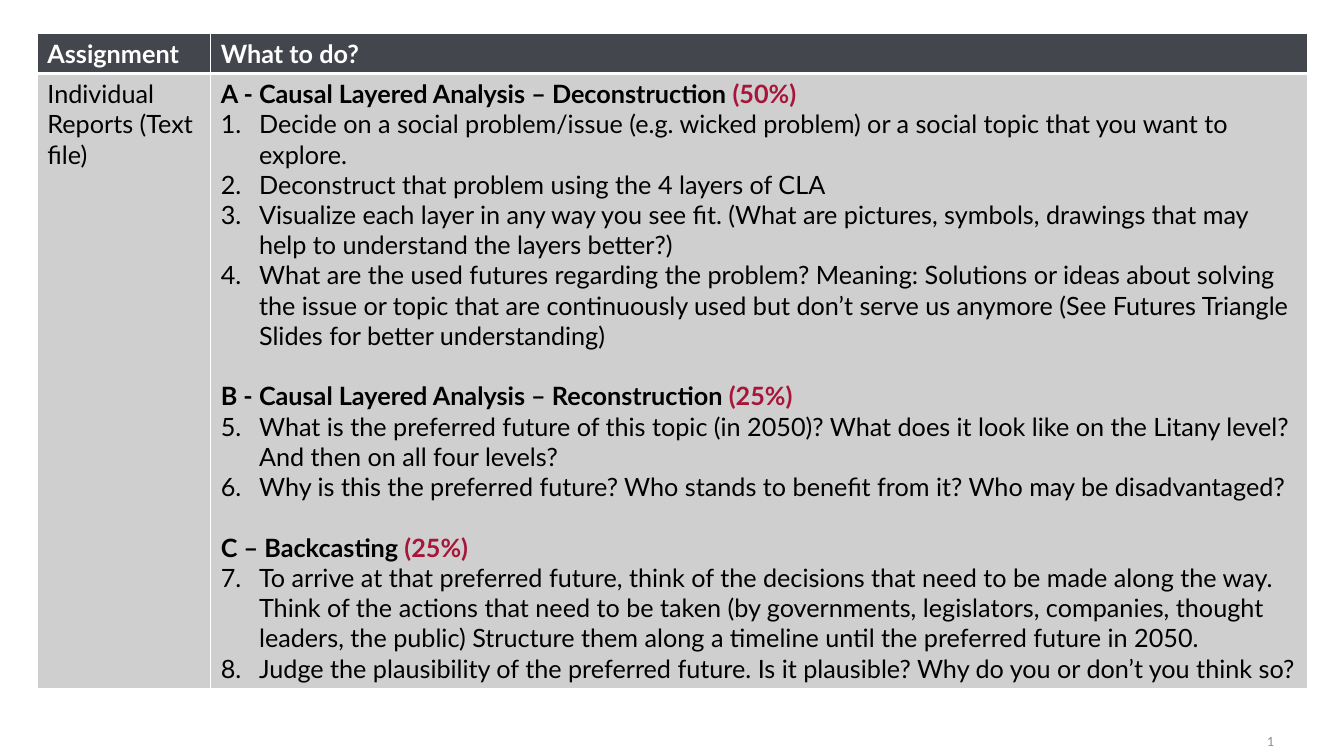
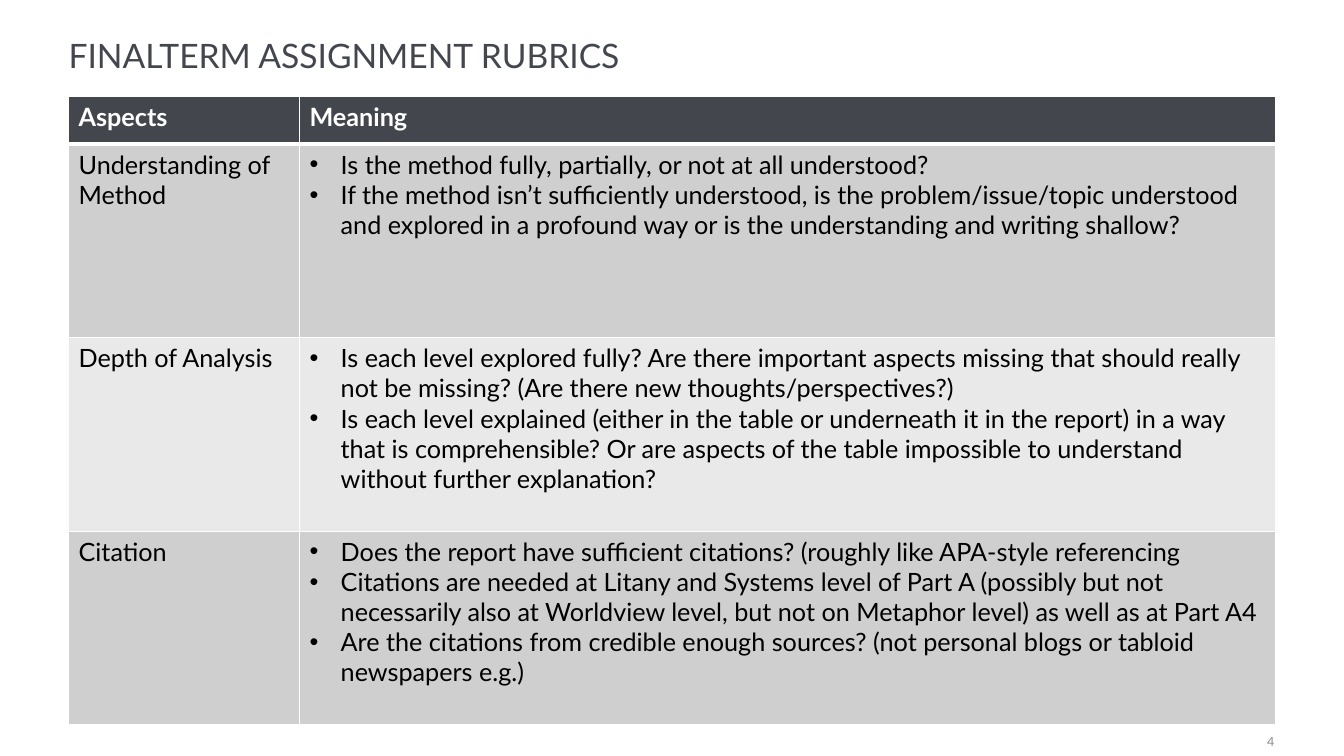
from dataclasses import dataclass

from lxml.etree import SubElement
from pptx import Presentation
from pptx.dml.color import RGBColor
from pptx.enum.text import MSO_ANCHOR, PP_ALIGN
from pptx.oxml.ns import qn
from pptx.util import Inches, Pt


@dataclass(frozen=True)
class Theme:
    font: str = "Lato"
    dark: str = "43464D"
    bands: tuple = ("CFCFD0", "E9E9E9")
    black: str = "000000"
    white: str = "FFFFFF"
    accent: str = "A71639"
    muted: str = "898C93"
    title_size: float = 24
    text_size: float = 18
    number_size: float = 9
    section_gap: float = 21.6
    thin: float = 1
    thick: float = 3


THEME = Theme()

# Content: assignment sections are (heading, weight, numbered tasks)
ASSIGNMENT_HEADER = ("Assignment", "What to do?")
ASSIGNMENT_NAME = "Individual Reports (Text file)"
SECTIONS = [
    ("A - Causal Layered Analysis – Deconstruction ", "(50%)", [
        "Decide on a social problem/issue (e.g. wicked problem) or a social topic that you want to explore.",
        "Deconstruct that problem using the 4 layers of CLA",
        "Visualize each layer in any way you see fit. (What are pictures, symbols, drawings that may help to "
        "understand the layers better?)",
        "What are the used futures regarding the problem? Meaning: Solutions or ideas about solving the issue "
        "or topic that are continuously used but don’t serve us anymore (See Futures Triangle Slides for "
        "better understanding)",
    ]),
    ("B - Causal Layered Analysis – Reconstruction ", "(25%)", [
        "What is the preferred future of this topic (in 2050)? What does it look like on the Litany level? "
        "And then on all four levels?",
        "Why is this the preferred future? Who stands to benefit from it? Who may be disadvantaged?",
    ]),
    ("C – Backcasting ", "(25%)", [
        "To arrive at that preferred future, think of the decisions that need to be made along the way. "
        "Think of the actions that need to be taken (by governments, legislators, companies, thought leaders, "
        "the public) Structure them along a timeline until the preferred future in 2050.",
        "Judge the plausibility of the preferred future. Is it plausible? Why do you or don’t you think so?",
    ]),
]

RUBRIC_TITLE = "FINALTERM ASSIGNMENT RUBRICS"
RUBRIC_HEADER = ("Aspects", "Meaning")
RUBRICS = [
    ("Understanding of Method", [
        "Is the method fully, partially, or not at all understood?",
        "If the method isn’t sufficiently understood, is the problem/issue/topic understood and explored in a "
        "profound way or is the understanding and writing shallow?",
    ]),
    ("Depth of Analysis", [
        "Is each level explored fully? Are there important aspects missing that should really not be missing? "
        "(Are there new thoughts/perspectives?)",
        "Is each level explained (either in the table or underneath it in the report) in a way that is "
        "comprehensible? Or are aspects of the table impossible to understand without further explanation?",
    ]),
    ("Citation", [
        "Does the report have sufficient citations? (roughly like APA-style referencing",
        "Citations are needed at Litany and Systems level of Part A (possibly but not necessarily also at "
        "Worldview level, but not on Metaphor level) as well as at Part A4",
        "Are the citations from credible enough sources? (not personal blogs or tabloid newspapers e.g.)",
    ]),
]


# Text helpers
def add_span(para, text, color=THEME.black, size=THEME.text_size, bold=False):
    span = para.add_run()
    span.text = text
    span.font.name = THEME.font
    span.font.size = Pt(size)
    span.font.bold = bold
    span.font.color.rgb = RGBColor.from_string(color)


def next_para(frame):
    """Return the empty first paragraph, or a new one."""
    first = frame.paragraphs[0]
    return frame.add_paragraph() if first.runs else first


def add_item(frame, text, indent, number=None):
    """Add a numbered item, or a bulleted one when there is no number."""
    para = next_para(frame)
    props = para._p.get_or_add_pPr()
    props.set("marL", str(Inches(indent)))
    props.set("indent", str(-Inches(indent)))
    if number:
        SubElement(props, qn("a:buFont"), typeface="+mj-lt")
        SubElement(props, qn("a:buAutoNum"), type="arabicPeriod", startAt=str(number))
    else:
        SubElement(props, qn("a:buFont"), typeface="Arial")
        SubElement(props, qn("a:buChar"), char="•")
    add_span(para, text)


# Table helpers
def style_cell(cell, fill, bottom):
    props = cell._tc.get_or_add_tcPr()
    for side, width in zip("LRTB", (THEME.thin, THEME.thin, THEME.thin, bottom)):
        line = SubElement(props, qn(f"a:ln{side}"), w=str(Pt(width)))
        SubElement(SubElement(line, qn("a:solidFill")), qn("a:srgbClr"), val=THEME.white)
    cell.fill.solid()
    cell.fill.fore_color.rgb = RGBColor.from_string(fill)


def add_grid(page, left, top, widths, heights, header, names):
    """Add a table with its header row and first column filled in."""
    table = page.shapes.add_table(len(heights), len(widths), Inches(left), Inches(top),
                                  Inches(sum(widths)), Inches(sum(heights))).table
    for column, width in zip(table.columns, widths):
        column.width = Inches(width)
    for index, (row, height) in enumerate(zip(table.rows, heights)):
        row.height = Inches(height)
        fill = THEME.bands[(index - 1) % 2] if index else THEME.dark
        for cell in row.cells:
            style_cell(cell, fill, THEME.thin if index else THEME.thick)
    for cell, text in zip(table.rows[0].cells, header):
        add_span(cell.text_frame.paragraphs[0], text, THEME.white, bold=True)
    for index, name in enumerate(names, start=1):
        add_span(table.cell(index, 0).text_frame.paragraphs[0], name)
    return table


# Page parts
def clear_margins(frame):
    frame.margin_left = frame.margin_right = frame.margin_top = frame.margin_bottom = 0
    frame.word_wrap = True


def add_page_number(page, number):
    box = page.shapes.add_textbox(Inches(11.02), Inches(7.28), Inches(1.62), Inches(0.22))
    clear_margins(box.text_frame)
    para = box.text_frame.paragraphs[0]
    para.alignment = PP_ALIGN.RIGHT
    add_span(para, str(number), THEME.muted, THEME.number_size)


def set_title(page, text):
    title = page.shapes.title
    title.left, title.top = Inches(0.68), Inches(0)
    title.width, title.height = Inches(10.63), Inches(1.1)
    frame = title.text_frame
    clear_margins(frame)
    frame.vertical_anchor = MSO_ANCHOR.MIDDLE
    para = frame.paragraphs[0]
    para.alignment = PP_ALIGN.LEFT
    add_span(para, text, THEME.dark, THEME.title_size)


# Slides
def build_assignment(deck):
    page = deck.slides.add_slide(deck.slide_layouts[6])
    add_page_number(page, 1)
    table = add_grid(page, 0.37, 0.33, (1.72, 10.88), (0.39, 5.9), ASSIGNMENT_HEADER, [ASSIGNMENT_NAME])
    frame = table.cell(1, 1).text_frame
    number = 1
    for heading, weight, tasks in SECTIONS:
        para = next_para(frame)
        if number > 1:
            para.space_before = Pt(THEME.section_gap)
        add_span(para, heading, bold=True)
        add_span(para, weight, THEME.accent, bold=True)
        for number, task in enumerate(tasks, start=number):
            add_item(frame, task, 0.38, number)
        number += 1


def build_rubrics(deck):
    page = deck.slides.add_slide(deck.slide_layouts[5])
    set_title(page, RUBRIC_TITLE)
    add_page_number(page, 4)
    heights = [0.47] + [1.92] * len(RUBRICS)
    table = add_grid(page, 0.68, 0.96, (2.29, 9.68), heights, RUBRIC_HEADER, [name for name, _ in RUBRICS])
    for index, (_, questions) in enumerate(RUBRICS, start=1):
        for question in questions:
            add_item(table.cell(index, 1).text_frame, question, 0.31)


def main():
    deck = Presentation()
    deck.slide_width, deck.slide_height = Inches(13.33), Inches(7.5)
    build_assignment(deck)
    build_rubrics(deck)
    deck.save("out.pptx")


if __name__ == "__main__":
    main()
